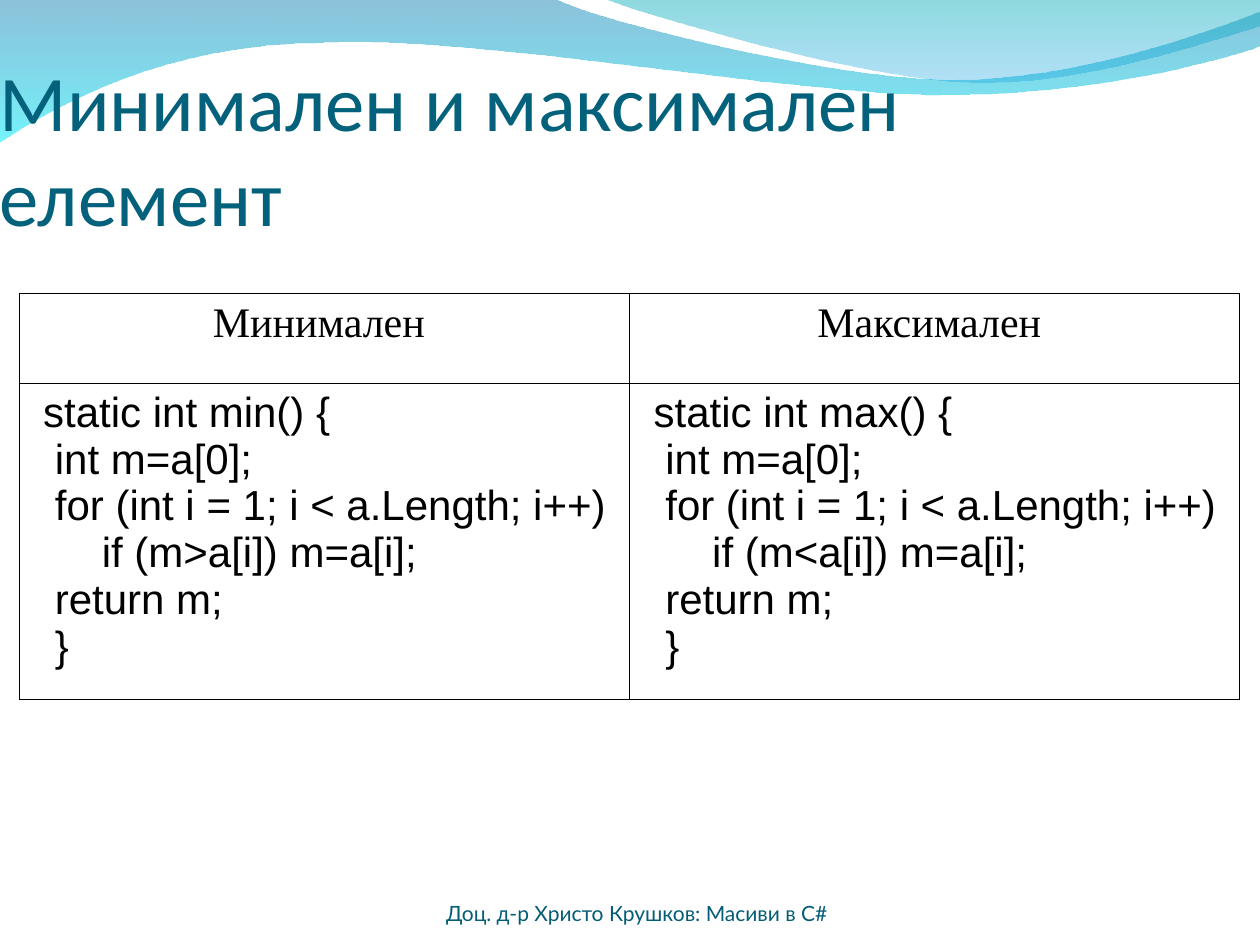
import pptx
import pptx.util
import pptx.dml.color
import pptx.enum.text
import pptx.oxml
import pptx.oxml.ns
import lxml.etree

Inches = pptx.util.Inches
Align = pptx.enum.text.PP_ALIGN
BOTTOM = pptx.enum.text.MSO_ANCHOR.BOTTOM
qn = pptx.oxml.ns.qn
SPACE = 0.093
WIDTH = 9.69

LOWER = [
    (0, -0.01), (4.4, -0.01),
    (4.76, 0.17, 6.64, 0.63, 7.58, 0.63),
    (8.53, 0.63, 9.58, 0.26, 10, 0.09),
    (10.01, 0.36),
    (9.83, 0.44, 8.7, 0.76, 7.46, 0.75),
    (6.22, 0.75, 3.82, 0.28, 2.57, 0.34),
    (1.29, 0.35, 0.46, 0.83, -0.01, 1.13),
    (0, -0.01),
]
UPPER = [
    (4.79, -0.01),
    (5.09, 0.11, 6.82, 0.62, 7.69, 0.65),
    (8.56, 0.69, 9.61, 0.32, 10, 0.21),
    (10, 0), (4.79, -0.01),
]


def color(code):
    return pptx.dml.color.RGBColor.from_string(code)


def write(frame, lines, size, font, code="000000", align=Align.LEFT):
    for row, (depth, words) in enumerate(lines):
        para = frame.add_paragraph() if row else frame.paragraphs[0]
        para.alignment = align
        if depth:
            para._p.get_or_add_pPr().set("marL", str(Inches(depth * SPACE)))
        run = para.add_run()
        run.text = words
        run.font.size = pptx.util.Pt(size)
        run.font.name = font
        run.font.color.rgb = color(code)


def add_label(slide, words, left, top, width, height, inset=0, **style):
    frame = slide.shapes.add_textbox(
        Inches(left), Inches(top), Inches(width), Inches(height)).text_frame
    frame.word_wrap = True
    frame.vertical_anchor = BOTTOM
    frame.margin_left = frame.margin_right = frame.margin_bottom = 0
    frame.margin_top = Inches(inset)
    write(frame, [(0, words)], **style)


def bend(shape, moves):
    lines = iter(list(shape._element.iter(qn("a:lnTo"))))
    for move in moves:
        line = next(lines)
        if len(move) == 6:
            arc = lxml.etree.Element(qn("a:cubicBezTo"))
            line.addprevious(arc)
            for knot in (line, next(lines), next(lines)):
                arc.append(knot[0])
                knot.getparent().remove(knot)


def add_wave(slide, outline, stops):
    spots = [(Inches(move[at]), Inches(move[at + 1]))
             for move in outline for at in range(0, len(move), 2)]
    pen = slide.shapes.build_freeform(*spots[0])
    pen.add_line_segments(spots[1:], close=True)
    wave = pen.convert_to_shape()
    bend(wave, outline[1:])
    wave.shadow.inherit = False
    wave.line.fill.background()
    wave.fill.gradient()
    wave.fill.gradient_angle = 270
    marks = wave._element.spPr.iter(qn("a:gs"))
    for stop, mark, (code, alpha) in zip(wave.fill.gradient_stops, marks, stops):
        stop.color.rgb = color(code)
        lxml.etree.SubElement(mark[0], qn("a:alpha"), val=str(alpha * 1000))


def add_edges(cell, code="000000", points=0.45):
    props = cell._tc.get_or_add_tcPr()
    for spot, side in enumerate("LRTB"):
        props.insert(spot, pptx.oxml.parse_xml(
            f'<a:ln{side} {pptx.oxml.ns.nsdecls("a")} w="{pptx.util.Pt(points)}">'
            f'<a:solidFill><a:srgbClr val="{code}"/></a:solidFill></a:ln{side}>'))


def method(name, sign):
    return [
        (1, f"static int {name}() {{"),
        (2, "int m=a[0];"),
        (2, "for (int i = 1; i < a.Length; i++)"),
        (6, f"if (m{sign}a[i]) m=a[i];"),
        (2, "return m;"),
        (2, "}"),
    ]


def add_code(slide):
    table = slide.shapes.add_table(
        2, 2, Inches(0.15), Inches(2.33), Inches(WIDTH), Inches(3.22)).table
    table.first_row = table.horz_banding = False
    for row, height in zip(table.rows, (0.71, 2.51)):
        row.height = Inches(height)
    columns = [("Минимален ", "min", ">"), ("Максимален ", "max", "<")]
    for col, (head, name, sign) in enumerate(columns):
        table.columns[col].width = Inches(WIDTH / 2)
        top, body = table.cell(0, col), table.cell(1, col)
        write(top.text_frame, [(0, head)], 24, "Times New Roman",
              align=Align.CENTER)
        write(body.text_frame, method(name, sign), 24, "Arial")
        for cell in (top, body):
            cell.fill.background()
            add_edges(cell)


def main():
    deck = pptx.Presentation()
    deck.slide_width, deck.slide_height = Inches(10), Inches(7.5)
    slide = deck.slides.add_slide(deck.slide_layouts[6])
    add_wave(slide, LOWER, [("0079AF", 45), ("00EBF8", 55)])
    add_wave(slide, UPPER, [("00ADB6", 45), ("009BE5", 30)])
    add_label(slide, "Минимален и максимален елемент", 0, 0.67, 8.5, 1.25,
              inset=0.05, size=45, font="Calibri", code="04617B")
    add_code(slide)
    add_label(slide, "Доц. д-р Христо Крушков: Масиви в C#", 2.92, 6.95, 4.27,
              0.4, size=12, font="Lato", code="045C75", align=Align.CENTER)
    deck.save("out.pptx")


if __name__ == "__main__":
    main()
